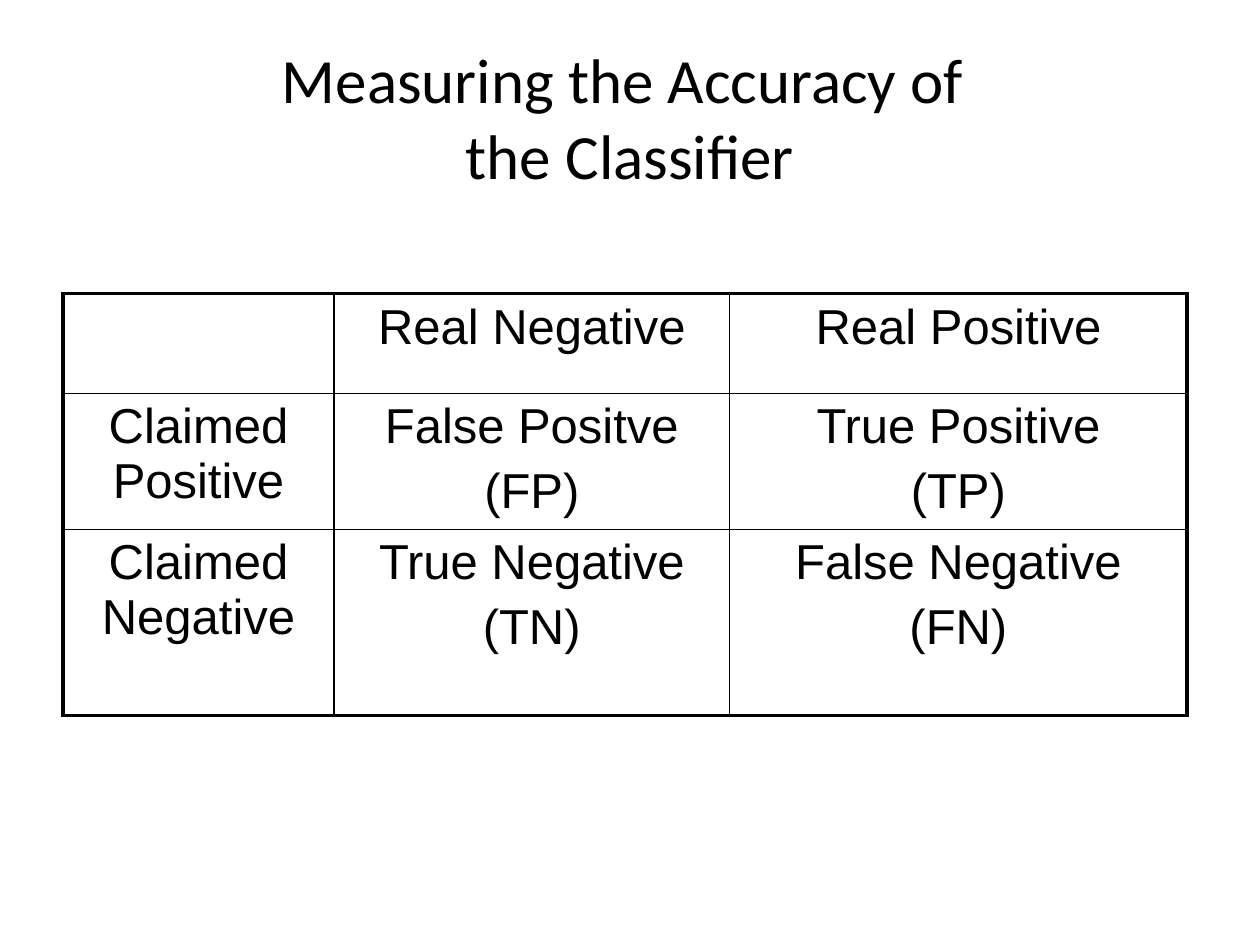
from pptx import Presentation
from pptx import util as u
from pptx.dml.color import RGBColor
from pptx.enum import text
from pptx.oxml import parse_xml
from pptx.oxml.ns import nsdecls

COLORS = {"ink": "000000"}
THICK, THIN = 2.25, 1
COLS = [5.46, 7.98, 9.22]
ROWS = [2.01, 2.74, 3.76]
CELLS = [
    [[], ["Real Negative"], ["Real Positive"]],
    [["Claimed Positive"], ["False Positve", "(FP)"], ["True Positive", "(TP)"]],
    [["Claimed Negative"], ["True Negative", "(TN)"], ["False Negative", "(FN)"]],
]


def add_run(para, words, face, size):
    run = para.add_run()
    run.text = words
    run.font.name = face
    run.font.size = u.Pt(size)
    run.font.color.rgb = RGBColor.from_string(COLORS["ink"])


def add_edge(cell, side, width):
    cell._tc.get_or_add_tcPr().append(parse_xml(
        f'<a:ln{side} {nsdecls("a")} w="{u.Pt(width)}">'
        f'<a:solidFill><a:srgbClr val="{COLORS["ink"]}"/></a:solidFill>'
        f'</a:ln{side}>'))


def fill_cell(cell, lines):
    frame = cell.text_frame
    for i, line in enumerate(lines):
        para = frame.add_paragraph() if i else frame.paragraphs[0]
        para.alignment = text.PP_ALIGN.CENTER
        if i:
            para.space_before = u.Pt(5.6)
        add_run(para, line, "Arial", 28)


def add_title(slide, left, top, width, height):
    title = slide.shapes.title
    title.left, title.top = u.Cm(left), u.Cm(top)
    title.width, title.height = u.Cm(width), u.Cm(height)
    frame = title.text_frame
    frame.vertical_anchor = text.MSO_ANCHOR.MIDDLE
    para = frame.paragraphs[0]
    para.alignment = text.PP_ALIGN.CENTER
    add_run(para, "Measuring the Accuracy of ", "Calibri", 36)
    para.add_line_break()
    add_run(para, "the Classifier", "Calibri", 36)


def add_matrix(slide, left, top):
    table = slide.shapes.add_table(
        len(ROWS), len(COLS), u.Cm(left), u.Cm(top),
        u.Cm(sum(COLS)), u.Cm(sum(ROWS))).table
    table.first_row = table.horz_banding = False
    for col, width in zip(table.columns, COLS):
        col.width = u.Cm(width)
    for row, height in zip(table.rows, ROWS):
        row.height = u.Cm(height)
    for r, row in enumerate(CELLS):
        for c, lines in enumerate(row):
            cell = table.cell(r, c)
            outer = {"L": c == 0, "R": c == len(COLS) - 1,
                     "T": r == 0, "B": r == len(ROWS) - 1}
            for side, edge in outer.items():
                add_edge(cell, side, THICK if edge else THIN)
            cell.fill.background()
            fill_cell(cell, lines)


def main():
    deck = Presentation()
    deck.slide_width, deck.slide_height = u.Cm(25.4), u.Cm(19.05)
    slide = deck.slides.add_slide(deck.slide_layouts[5])
    add_title(slide, 1.27, 0.76, 22.86, 3.18)
    add_matrix(slide, 1.27, 5.92)
    deck.save("out.pptx")


if __name__ == "__main__":
    main()
